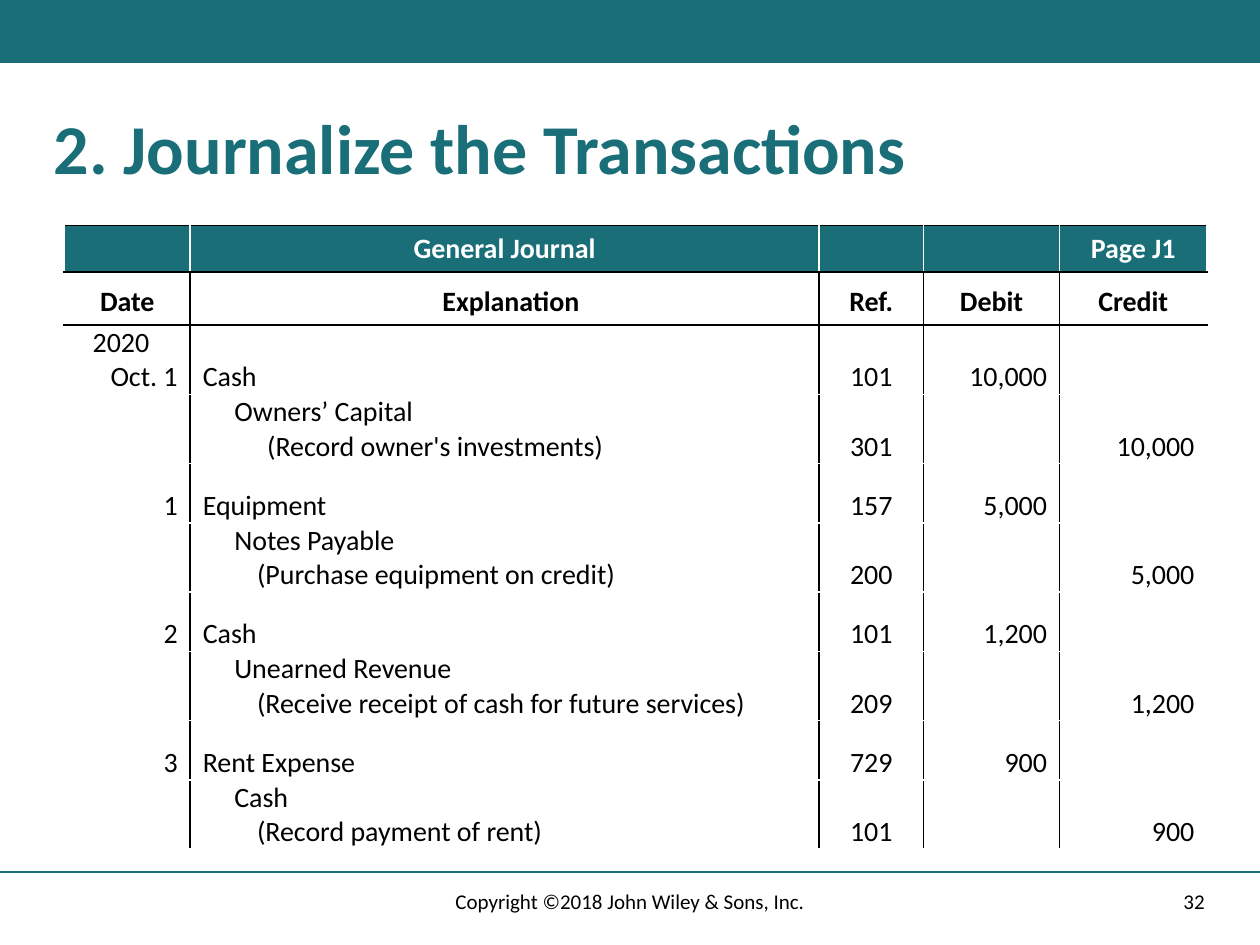
from dataclasses import dataclass
from lxml import etree
from pptx import Presentation
from pptx import util as u
from pptx.dml.color import RGBColor
from pptx.enum import shapes, text
from pptx.oxml import ns


@dataclass(frozen=True)
class Theme:
    font: str = "Calibri"
    teal: str = "196E78"
    black: str = "000000"
    white: str = "FFFFFF"
    title: int = 40
    body: int = 16
    small: int = 12


LEFT, MID, RIGHT = text.PP_ALIGN.LEFT, text.PP_ALIGN.CENTER, text.PP_ALIGN.RIGHT
MIDDLE, BOTTOM = text.MSO_ANCHOR.MIDDLE, text.MSO_ANCHOR.BOTTOM


def put(item, **vals):
    for key, val in vals.items():
        setattr(item, key, val)


class Deck:
    def __init__(self, theme):
        self.theme = theme
        self.prs = Presentation()
        put(self.prs, slide_width=u.Inches(10), slide_height=u.Inches(7.5))
        self.slide = self.prs.slides.add_slide(self.prs.slide_layouts[6])

    def phrase(self, para, words, size, color, bold=False, align=LEFT, indent=0):
        para.alignment = align
        if indent:
            para._p.get_or_add_pPr().set("marL", str(u.Inches(indent)))
        run = para.add_run()
        run.text = words
        put(run.font, name=self.theme.font, size=u.Pt(size), bold=bold)
        run.font.color.rgb = RGBColor.from_string(color)

    def bar(self, *box, fill):
        bar = self.slide.shapes.add_shape(
            shapes.MSO_SHAPE.RECTANGLE, *map(u.Inches, box))
        bar.shadow.inherit = False
        bar.fill.solid()
        bar.fill.fore_color.rgb = RGBColor.from_string(fill)
        bar.line.fill.background()

    def rule(self, *ends, color):
        line = self.slide.shapes.add_connector(
            shapes.MSO_CONNECTOR.STRAIGHT, *map(u.Inches, ends))
        line.line.width = u.Pt(1)
        line.line.color.rgb = RGBColor.from_string(color)
        etree.SubElement(line._element.spPr, ns.qn("a:effectLst"))

    def label(self, *box, words, size, color, space=1.0, **style):
        frame = self.slide.shapes.add_textbox(*map(u.Inches, box)).text_frame
        put(frame, word_wrap=True, vertical_anchor=MIDDLE)
        para = frame.paragraphs[0]
        para.line_spacing = space
        self.phrase(para, words, size, color, **style)

    def grid(self, left, top, cols, rows):
        frame = self.slide.shapes.add_table(
            len(rows), len(cols), *map(u.Inches, (left, top, sum(cols), sum(rows))))
        table = frame.table
        put(table, first_row=False, horz_banding=False)
        for col, width in zip(table.columns, cols):
            col.width = u.Inches(width)
        for row, height in zip(table.rows, rows):
            row.height = u.Inches(height)
        return table

    def cell(self, cell, lines, edges, pads, fill=None, color=None, bold=False):
        # Borders come before the fill in the cell properties
        props = cell._tc.get_or_add_tcPr()
        for side in "LRTB":
            if side in edges:
                line = etree.SubElement(props, ns.qn("a:ln" + side), w=str(u.Pt(1)))
                paint = etree.SubElement(line, ns.qn("a:solidFill"))
                etree.SubElement(paint, ns.qn("a:srgbClr"), val=edges[side])
        if fill:
            cell.fill.solid()
            cell.fill.fore_color.rgb = RGBColor.from_string(fill)
        else:
            cell.fill.background()
        names = ("margin_left", "margin_top", "margin_right", "margin_bottom")
        put(cell, vertical_anchor=BOTTOM, **dict(zip(names, map(u.Inches, pads))))
        frame = cell.text_frame
        for i, (words, align, indent) in enumerate(lines):
            para = frame.add_paragraph() if i else frame.paragraphs[0]
            self.phrase(para, words, self.theme.body, color or self.theme.black,
                        bold, align, indent)


# Date, debit account, its ref, credit account, its ref, note, amount
ENTRIES = [
    ("Oct. 1", "Cash", "101", "Owners’ Capital", "301",
     "(Record owner's investments)", "10,000"),
    ("1", "Equipment", "157", "Notes Payable", "200",
     "(Purchase equipment on credit)", "5,000"),
    ("2", "Cash", "101", "Unearned Revenue", "209",
     "(Receive receipt of cash for future services)", "1,200"),
    ("3", "Rent Expense", "729", "Cash", "101",
     "(Record payment of rent)", "900"),
]
HEADS = ["Date", "Explanation", "Ref.", "Debit", "Credit"]
ALIGNS = [RIGHT, LEFT, MID, RIGHT, RIGHT]
# Left and right padding of each column
SIDES = [(0, 0.1), (0.1, 0), (0, 0), (0, 0.1), (0, 0.1)]


def journal(deck):
    t = deck.theme
    cols = [1, 4.99, 0.83, 1.08, 1.17]
    rows = [0.37, 0.42, 0.55] + [0.55, 0.47] * 3 + [0.55]
    table = deck.grid(0.51, 1.79, cols, rows)
    last = len(cols) - 1

    def edges(c, top, bottom):
        return {"L": t.black if c else t.white,
                "R": t.black if c < last else t.white, "T": top, "B": bottom}

    # Banner and column heads
    banner = ["", "General Journal", "", "", "Page J1"]
    for c, (name, head) in enumerate(zip(banner, HEADS)):
        pads = (0.1, 0.05, 0.1, 0.05) if name else (0, 0, 0, 0)
        lines = [(name, MID, 0)] if name else []
        deck.cell(table.cell(0, c), lines, {"T": t.black, "B": t.black},
                  pads, t.teal, t.white, True)
        deck.cell(table.cell(1, c), [(head, MID, 0)], edges(c, t.black, t.black),
                  (0.1 if c == 1 else 0, 0.1, 0, 0.05), bold=True)

    # A debit row and a credit row for each entry
    for n, (date, debit, ref, credit, cref, note, total) in enumerate(ENTRIES):
        pairs = [[date, debit, ref, total, ""], ["", "", cref, "", total]]
        for k, words in enumerate(pairs):
            r = 2 + 2 * n + k
            top = t.black if r == 2 else t.white
            for c, word in enumerate(words):
                lines = [(word, ALIGNS[c], 0)] if word else []
                if r == 2 and c == 0:
                    lines.insert(0, ("2020", MID, 0))
                if k and c == 1:
                    lines = [(credit, LEFT, 0.25), (note, LEFT, 0.43 if n else 0.51)]
                gap = 0.2 if n and not k and lines else 0
                near, far = SIDES[c]
                deck.cell(table.cell(r, c), lines, edges(c, top, t.white),
                          (near, gap, far, 0))


def main():
    t = Theme()
    deck = Deck(t)
    # Top band, footer rule and title
    deck.bar(0, 0, 10, 0.5, fill=t.teal)
    deck.rule(0, 6.92, 10, 6.92, color=t.teal)
    deck.label(0.33, 0.83, 9.33, 0.75, words="2. Journalize the Transactions",
               size=t.title, color=t.teal, space=0.9, bold=True)
    journal(deck)
    # Footer
    deck.label(7.06, 6.95, 2.6, 0.4, words="32", size=t.small, color=t.black,
               align=RIGHT)
    deck.label(3.31, 6.95, 3.38, 0.4, words="Copyright ©2018 John Wiley & Sons, Inc.",
               size=t.small, color=t.black, align=MID)
    deck.prs.save("out.pptx")


if __name__ == "__main__":
    main()
